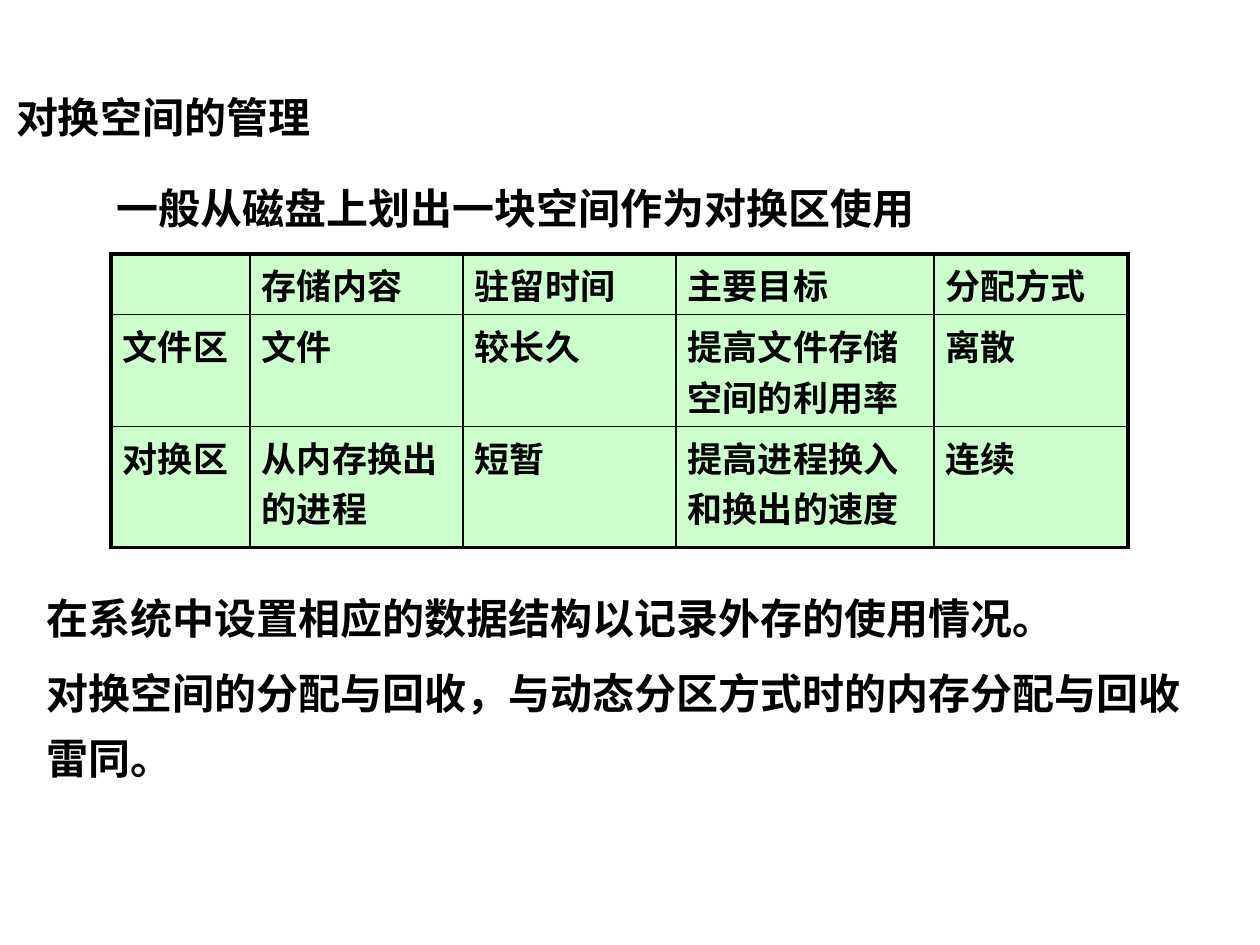
from dataclasses import dataclass

from lxml.etree import SubElement
from pptx import Presentation
from pptx.dml.color import RGBColor
from pptx.enum.text import MSO_ANCHOR as Anchor, MSO_AUTO_SIZE as AutoSize, PP_ALIGN as Align
from pptx.oxml import parse_xml
from pptx.oxml.ns import nsdecls, qn
from pptx.util import Emu, Pt

PX_PER_INCH = 126


@dataclass(frozen=True)
class Theme:
    font: str = "Noto Sans CJK SC"
    ink: str = "000000"
    cell_fill: str = "CCFFCC"
    text_size: int = 24
    table_size: int = 20
    line_height: int = 37
    paragraph_gap: int = 6
    outer_border: float = 2.25
    inner_border: float = 1


THEME = Theme()

TITLE = "对换空间的管理"
LEAD = "一般从磁盘上划出一块空间作为对换区使用"
NOTES = [
    "在系统中设置相应的数据结构以记录外存的使用情况。",
    "对换空间的分配与回收，与动态分区方式时的内存分配与回收雷同。",
]
COMPARISON = [
    ["", "存储内容", "驻留时间", "主要目标", "分配方式"],
    ["文件区", "文件", "较长久", "提高文件存储空间的利用率", "离散"],
    ["对换区", "从内存换出的进程", "短暂", "提高进程换入和换出的速度", "连续"],
]
COLUMN_WIDTHS = [139, 213, 213, 258, 194]
ROW_HEIGHTS = [55, 106, 121]


def px(length):
    return Emu(round(length * 914400 / PX_PER_INCH))


def set_attributes(target, values):
    for name, value in values.items():
        setattr(target, name, value)


def place(shape, left, top, width, height):
    set_attributes(shape, {"left": px(left), "top": px(top),
                           "width": px(width), "height": px(height)})


def add_text(paragraph, text, size):
    run = paragraph.add_run()
    run.text = text
    set_attributes(run.font, {"name": THEME.font, "size": Pt(size), "bold": True})
    run.font.color.rgb = RGBColor.from_string(THEME.ink)
    SubElement(run.font._element, qn("a:ea"), typeface=THEME.font)


def format_frame(frame, inset_x, inset_y, anchor=Anchor.TOP, wrap=True):
    set_attributes(frame, {
        "margin_left": px(inset_x), "margin_right": px(inset_x),
        "margin_top": px(inset_y), "margin_bottom": px(inset_y),
        "vertical_anchor": anchor, "word_wrap": wrap, "auto_size": AutoSize.NONE,
    })


def fill_paragraphs(frame, texts):
    """Write unbulleted paragraphs with a fixed line height."""
    for index, text in enumerate(texts):
        paragraph = frame.add_paragraph() if index else frame.paragraphs[0]
        properties = paragraph._p.get_or_add_pPr()
        properties.set("marL", "0")
        properties.set("indent", "0")
        SubElement(properties, qn("a:buNone"))
        set_attributes(paragraph, {
            "alignment": Align.LEFT,
            "line_spacing": Pt(THEME.line_height),
            "space_before": Pt(THEME.paragraph_gap if index else 0),
        })
        add_text(paragraph, text, THEME.text_size)


def write_title(title):
    place(title, 5, 86, 1124, 62)
    format_frame(title.text_frame, 11, 6, Anchor.MIDDLE)
    paragraph = title.text_frame.paragraphs[0]
    paragraph.alignment = Align.LEFT
    add_text(paragraph, TITLE, THEME.text_size)


def write_notes(body):
    place(body, 35, 572, 1179, 218)
    format_frame(body.text_frame, 11, 6)
    fill_paragraphs(body.text_frame, NOTES)


def add_lead(slide):
    box = slide.shapes.add_textbox(px(105), px(163), px(824), px(77))
    format_frame(box.text_frame, 11, 5, wrap=False)
    fill_paragraphs(box.text_frame, [LEAD])


def set_borders(cell, outer_sides):
    """Draw all four sides, heavier on the table's outer edge."""
    properties = cell._tc.get_or_add_tcPr()
    for index, side in enumerate("LRTB"):
        width = THEME.outer_border if side in outer_sides else THEME.inner_border
        properties.insert(index, parse_xml(
            f'<a:ln{side} {nsdecls("a")} w="{Pt(width)}"><a:solidFill>'
            f'<a:srgbClr val="{THEME.ink}"/></a:solidFill></a:ln{side}>'))


def add_comparison(slide):
    row_count, column_count = len(ROW_HEIGHTS), len(COLUMN_WIDTHS)
    table = slide.shapes.add_table(
        row_count, column_count, px(111), px(254),
        px(sum(COLUMN_WIDTHS)), px(sum(ROW_HEIGHTS))).table
    set_attributes(table, {"first_row": False, "horz_banding": False})
    for column, width in zip(table.columns, COLUMN_WIDTHS):
        column.width = px(width)
    for r, (row, height) in enumerate(zip(table.rows, ROW_HEIGHTS)):
        row.height = px(height)
        for c, cell in enumerate(row.cells):
            set_attributes(cell, {"margin_left": px(12), "margin_right": px(12),
                                  "margin_top": px(5), "margin_bottom": px(5)})
            cell.fill.solid()
            cell.fill.fore_color.rgb = RGBColor.from_string(THEME.cell_fill)
            edges = {"L": c == 0, "R": c == column_count - 1,
                     "T": r == 0, "B": r == row_count - 1}
            set_borders(cell, [side for side, outer in edges.items() if outer])
            if COMPARISON[r][c]:
                add_text(cell.text_frame.paragraphs[0], COMPARISON[r][c], THEME.table_size)


def main():
    presentation = Presentation()
    set_attributes(presentation, {"slide_width": px(1260), "slide_height": px(945)})
    slide = presentation.slides.add_slide(presentation.slide_layouts[1])
    write_title(slide.shapes.title)
    add_comparison(slide)
    write_notes(slide.placeholders[1])
    add_lead(slide)
    presentation.save("out.pptx")


if __name__ == "__main__":
    main()
